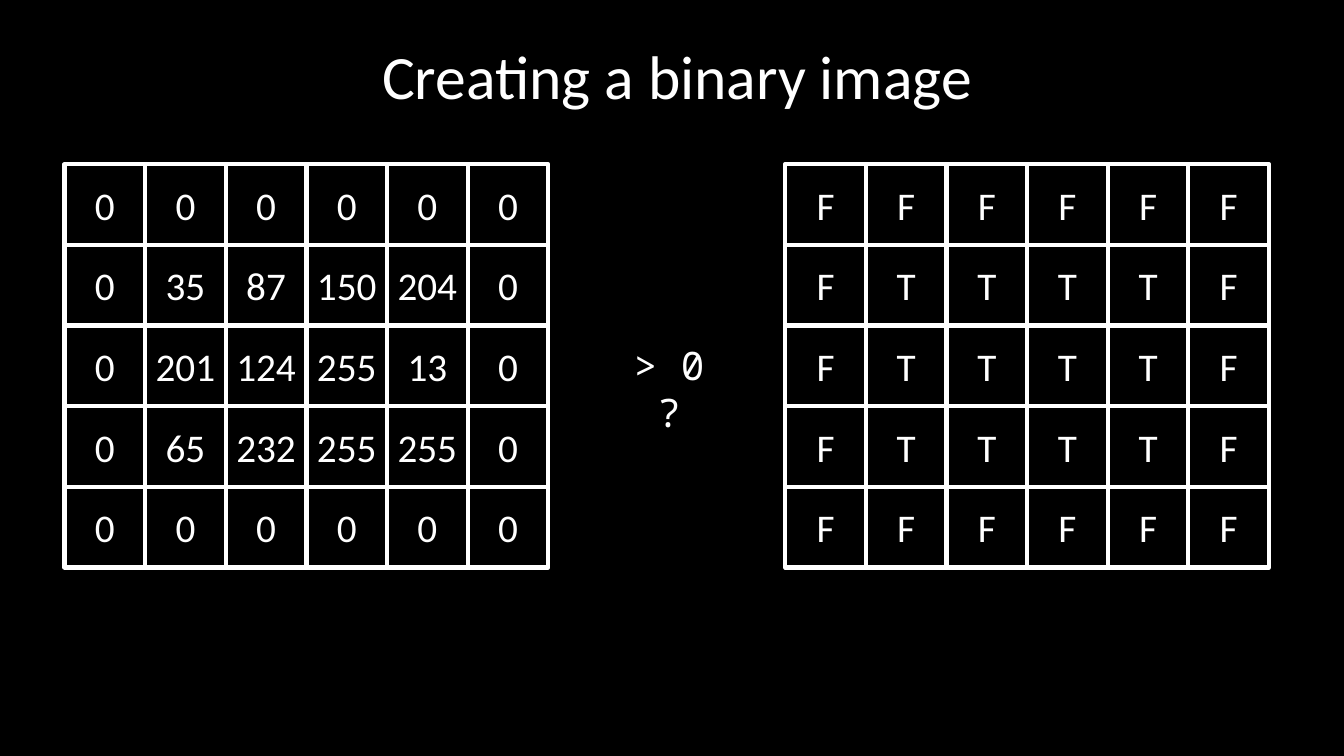
from pptx import Presentation
from pptx.dml.color import RGBColor
from pptx.enum import shapes, text
from pptx.util import Pt

TITLE = "Creating a binary image"
QUESTION = ["> 0", " ?"]
PIXELS = [
    [0, 0, 0, 0, 0, 0],
    [0, 35, 87, 150, 204, 0],
    [0, 201, 124, 255, 13, 0],
    [0, 65, 232, 255, 255, 0],
    [0, 0, 0, 0, 0, 0],
]
MASK = [["T" if pixel > 0 else "F" for pixel in row] for row in PIXELS]

BLACK = RGBColor(0, 0, 0)
WHITE = RGBColor(255, 255, 255)
BODY_FONT = "Calibri"
CODE_FONT = "Noto Sans Mono"
CELL = 57.6
GRID_TOP = 117.36
GRIDS = [(46.08, PIXELS), (560.88, MASK)]


def style_text(paragraph, font_name, size, alignment):
    paragraph.alignment = alignment
    for run in paragraph.runs:
        run.font.name = font_name
        run.font.size = Pt(size)
        run.font.color.rgb = WHITE


def add_grid(slide, left, rows):
    group = slide.shapes.add_group_shape()
    for row_index, row in enumerate(rows):
        for column_index, value in enumerate(row):
            cell = group.shapes.add_shape(
                shapes.MSO_SHAPE.RECTANGLE,
                Pt(left + column_index * CELL), Pt(GRID_TOP + row_index * CELL),
                Pt(CELL), Pt(CELL))
            cell.shadow.inherit = False
            cell.fill.background()
            cell.line.color.rgb = WHITE
            cell.line.width = Pt(3)
            frame = cell.text_frame
            frame.margin_left = frame.margin_right = 0
            frame.vertical_anchor = text.MSO_ANCHOR.MIDDLE
            frame.text = str(value)
            style_text(frame.paragraphs[0], BODY_FONT, 28, text.PP_ALIGN.CENTER)


def add_title(slide):
    title = slide.shapes.title
    title.left, title.top, title.width, title.height = Pt(69.84), Pt(4.32), Pt(828), Pt(104.4)
    title.text_frame.text = TITLE
    title.text_frame.vertical_anchor = text.MSO_ANCHOR.MIDDLE
    paragraph = title.text_frame.paragraphs[0]
    paragraph.line_spacing = 0.9
    style_text(paragraph, BODY_FONT, 44, text.PP_ALIGN.CENTER)


def add_question(slide):
    frame = slide.shapes.add_textbox(Pt(445.68), Pt(240.48), Pt(64.8), Pt(74.88)).text_frame
    frame.word_wrap = False
    frame.text = "\n".join(QUESTION)
    for paragraph in frame.paragraphs:
        style_text(paragraph, CODE_FONT, 28, text.PP_ALIGN.LEFT)


def main():
    presentation = Presentation()
    presentation.slide_width, presentation.slide_height = Pt(960), Pt(540)
    slide = presentation.slides.add_slide(presentation.slide_layouts[5])
    slide.background.fill.solid()
    slide.background.fill.fore_color.rgb = BLACK
    add_title(slide)
    for left, rows in GRIDS:
        add_grid(slide, left, rows)
    add_question(slide)
    presentation.save("out.pptx")


if __name__ == "__main__":
    main()
